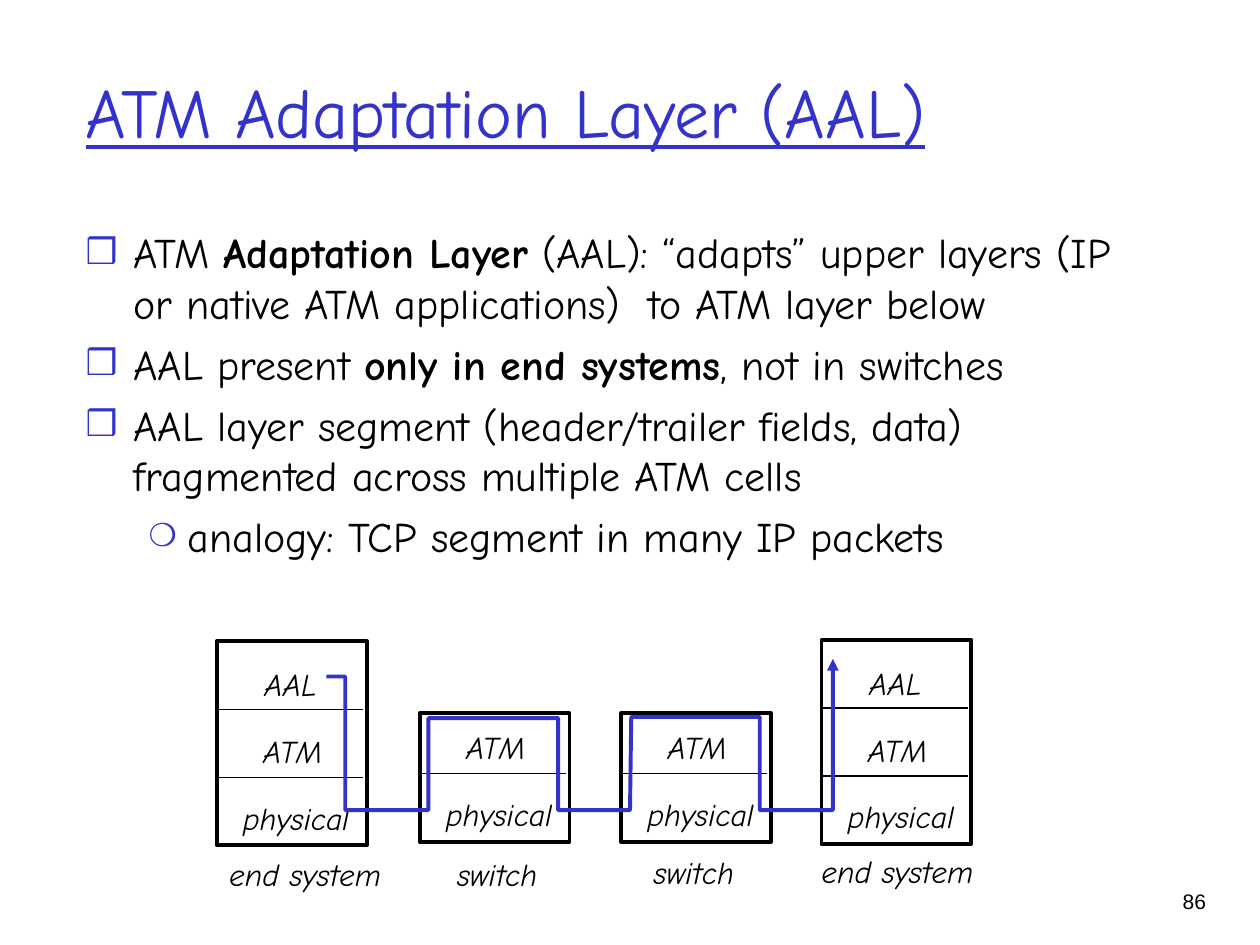
import pptx
import pptx.util
import pptx.dml.color
import pptx.enum.shapes
import pptx.enum.text
import pptx.oxml
import pptx.oxml.ns
from lxml import etree

Inches, Pt = pptx.util.Inches, pptx.util.Pt
ALIGN = pptx.enum.text.PP_ALIGN
ANCHOR = pptx.enum.text.MSO_ANCHOR
AUTO_SIZE = pptx.enum.text.MSO_AUTO_SIZE
COLORS = {"blue": "3333CC", "black": "000000", "white": "FFFFFF"}
FONT = "Comic Neue"

TITLE = "ATM Adaptation Layer (AAL)"
BULLETS = [
    (0, [("ATM ", False), ("Adaptation Layer", True),
         (" (AAL): “adapts” upper layers (IP or native ATM applications)  to ATM layer below", False)]),
    (0, [("AAL present ", False), ("only in end systems", True), (", not in switches", False)]),
    (0, [("AAL layer segment (header/trailer fields, data) fragmented across multiple ATM cells", False)]),
    (1, [("analogy: TCP segment in many IP packets", False)]),
]
LEVELS = [
    {"char": "❒", "size": 85, "margin": 0.38, "indent": -0.38},
    {"char": "❍", "size": 75, "margin": 0.81, "indent": -0.31},
]
END_LAYERS = ["physical", "ATM", "AAL"]
SWITCH_LAYERS = END_LAYERS[:2]
STACKS = [
    (1.72, 6.71, 1.62, END_LAYERS, "end system", (1.72, 6.74)),
    (6.52, 6.7, 1.62, END_LAYERS, "end system", (6.42, 6.71)),
    (3.33, 6.68, 1.02, SWITCH_LAYERS, "switch", (3.53, 6.74)),
    (4.93, 6.68, 1.02, SWITCH_LAYERS, "switch", (5.09, 6.72)),
]
LABELS = {"physical": (0.11, 1.04), "ATM": (0.27, 0.68), "AAL": (0.28, 0.65)}
CAPTION_WIDTHS = {"end system": 1.41, "switch": 0.84}
DATA_PATH = [
    (2.59, 5.37), (2.74, 5.37), (2.74, 6.43), (3.4, 6.43), (3.4, 5.7),
    (4.43, 5.7), (4.43, 6.43), (5, 6.43), (5.01, 5.69), (6.03, 5.69),
    (6.03, 6.43), (6.61, 6.43), (6.61, 5.23),
]
BOX_WIDTH, DIVIDER_WIDTH = 1.19, 1.16
LAYER_STEP, LABEL_STEP, LABEL_RISE, LABEL_HEIGHT = 0.54, 0.53, 0.42, 0.4


def rgb(name):
    return pptx.dml.color.RGBColor.from_string(COLORS[name])


def place(shape, left, top, width, height):
    box = {"left": left, "top": top, "width": width, "height": height}
    for key, value in box.items():
        setattr(shape, key, Inches(value))


def add_run(p, text, color="black", **fmt):
    r = p.add_run()
    r.text = text
    for key, value in {"name": FONT, **fmt}.items():
        setattr(r.font, key, value)
    r.font.color.rgb = rgb(color)


def set_line(shape, color, width):
    shape.line.color.rgb = rgb(color)
    shape.line.width = Pt(width)


def add_text(s, text, left, top, width, height=LABEL_HEIGHT, wrap=False, align=ALIGN.LEFT, **fmt):
    tf = s.shapes.add_textbox(*map(Inches, (left, top, width, height))).text_frame
    tf.word_wrap = wrap
    tf.auto_size = AUTO_SIZE.NONE if wrap else AUTO_SIZE.SHAPE_TO_FIT_TEXT
    p = tf.paragraphs[0]
    p.alignment = align
    add_run(p, text, **{"size": Pt(18), "italic": True, **fmt})


def set_bullet(p, level):
    pPr = p._p.get_or_add_pPr()
    pPr.set("marL", str(Inches(level["margin"])))
    pPr.set("indent", str(Inches(level["indent"])))
    color = etree.SubElement(pPr, pptx.oxml.ns.qn("a:buClr"))
    etree.SubElement(color, pptx.oxml.ns.qn("a:srgbClr"), val=COLORS["blue"])
    etree.SubElement(pPr, pptx.oxml.ns.qn("a:buSzPct"), val=str(level["size"] * 1000))
    etree.SubElement(pPr, pptx.oxml.ns.qn("a:buChar"), char=level["char"])


def fill_placeholder(shape, anchor, box):
    place(shape, *box)
    tf = shape.text_frame
    tf.auto_size = AUTO_SIZE.NONE
    tf.vertical_anchor = anchor
    return tf


def add_stack(s, left, bottom, height, layers, caption, caption_at):
    box = s.shapes.add_shape(pptx.enum.shapes.MSO_SHAPE.RECTANGLE,
                             *map(Inches, (left, bottom - height, BOX_WIDTH, height)))
    box.shadow.inherit = False
    box.fill.solid()
    box.fill.fore_color.rgb = rgb("white")
    set_line(box, "black", 2.25)
    for i, layer in enumerate(layers):
        if i:
            y = bottom - LAYER_STEP * i
            divider = s.shapes.add_connector(pptx.enum.shapes.MSO_CONNECTOR.STRAIGHT,
                                             *map(Inches, (left + DIVIDER_WIDTH, y, left, y)))
            set_line(divider, "black", 0.75)
            etree.SubElement(divider._element.spPr, pptx.oxml.ns.qn("a:effectLst"))
        offset, width = LABELS[layer]
        add_text(s, layer, left + offset, bottom - LABEL_RISE - LABEL_STEP * i, width)
    add_text(s, caption, *caption_at, CAPTION_WIDTHS[caption])


def add_data_path(s):
    points = [(Inches(x), Inches(y)) for x, y in DATA_PATH]
    builder = s.shapes.build_freeform(*points[0])
    builder.add_line_segments(points[1:], close=False)
    path_shape = builder.convert_to_shape()
    path_shape.shadow.inherit = False
    path_shape.fill.background()
    set_line(path_shape, "blue", 2.25)
    etree.SubElement(path_shape.line._get_or_add_ln(), pptx.oxml.ns.qn("a:tailEnd"), type="triangle")


def main():
    prs = pptx.Presentation()
    prs.slide_width, prs.slide_height = Inches(10), Inches(7.5)
    s = prs.slides.add_slide(prs.slide_layouts[1])

    tf = fill_placeholder(s.shapes.title, ANCHOR.MIDDLE, (0.58, 0.25, 8.5, 1.25))
    tf.paragraphs[0].alignment = ALIGN.LEFT
    add_run(tf.paragraphs[0], TITLE, "blue", size=Pt(40), underline=True)

    tf = fill_placeholder(s.placeholders[1], ANCHOR.TOP, (0.58, 1.75, 8.5, 5.08))
    for i, (level, runs) in enumerate(BULLETS):
        p = tf.add_paragraph() if i else tf.paragraphs[0]
        p.level = level
        p.space_before = Pt(6)
        set_bullet(p, LEVELS[level])
        for text, bold in runs:
            add_run(p, text, size=Pt(24), bold=bold)

    for stack in STACKS:
        add_stack(s, *stack)
    add_data_path(s)
    add_text(s, "86", 8.93, 7, 0.74, 0.5, wrap=True, align=ALIGN.RIGHT,
             name="Arial", size=Pt(12), italic=False)
    prs.save("out.pptx")


if __name__ == "__main__":
    main()
